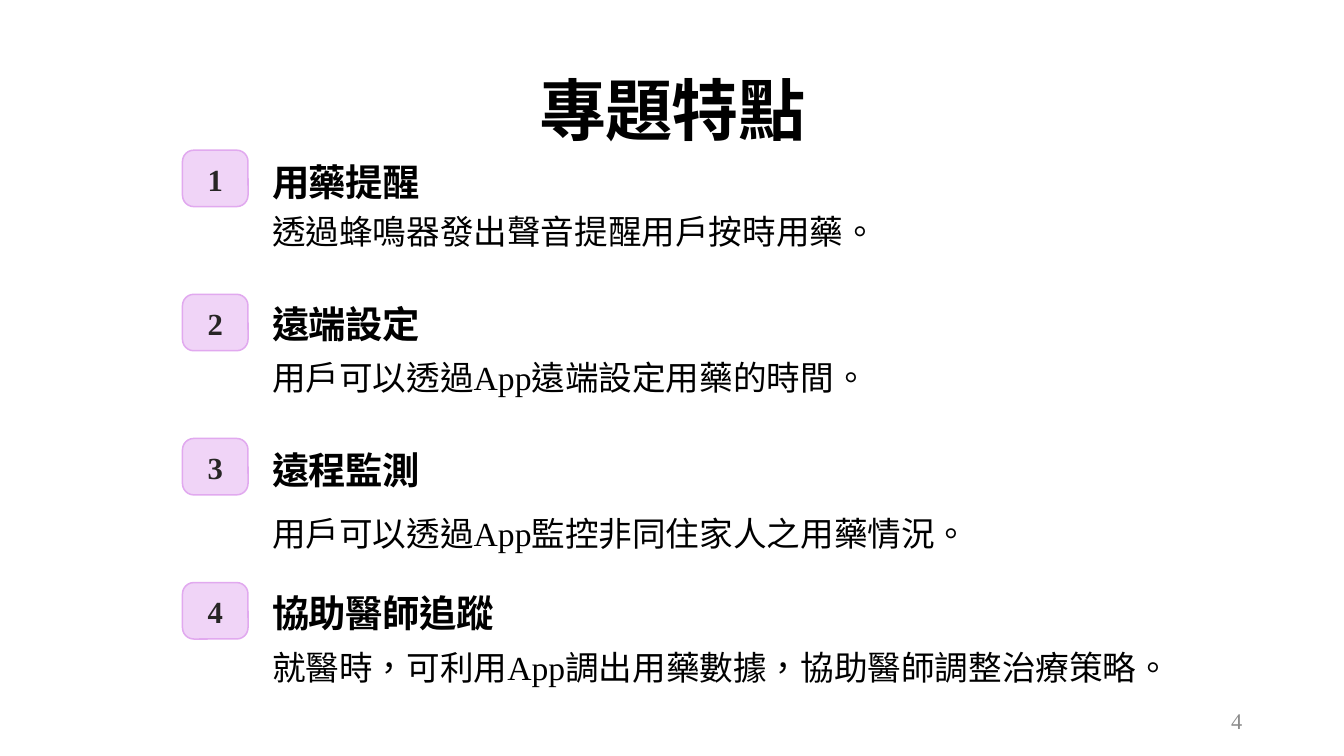
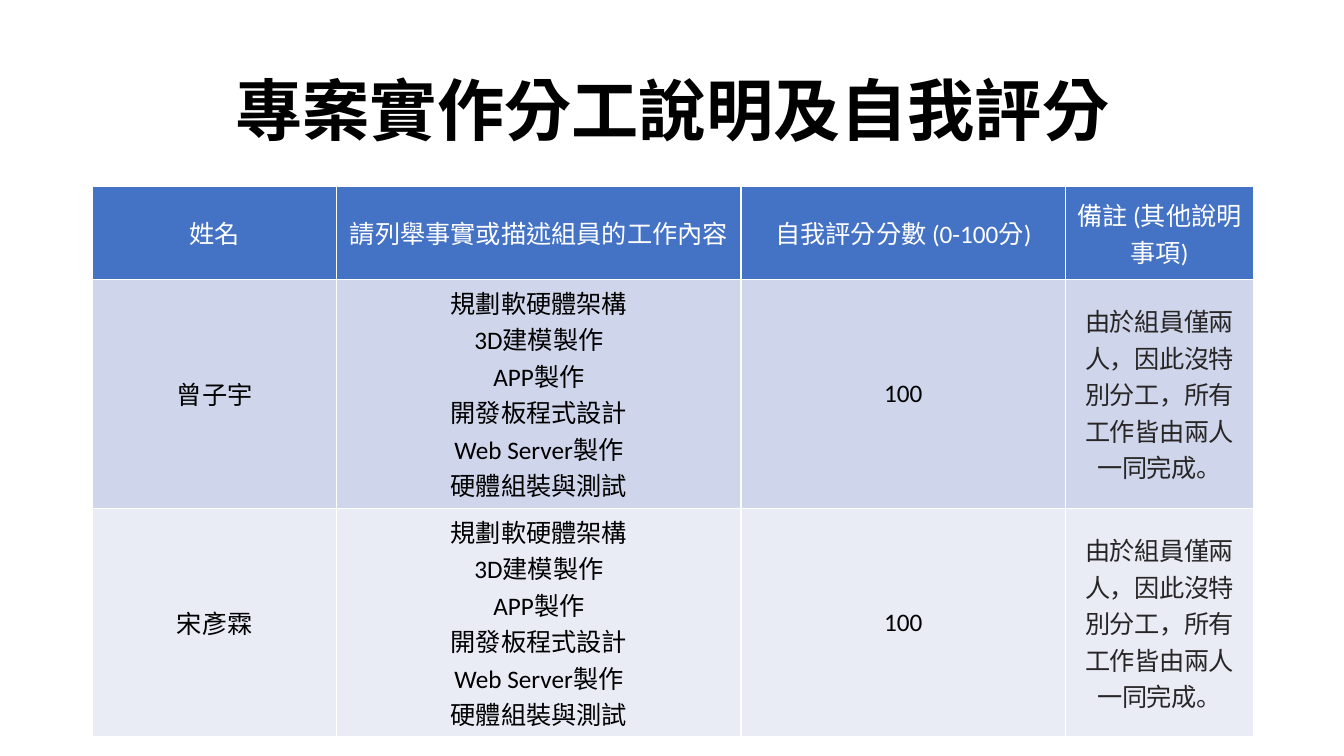
from dataclasses import dataclass

from lxml.etree import SubElement
from pptx import Presentation
from pptx.dml.color import RGBColor
from pptx.enum.shapes import MSO_SHAPE
from pptx.enum.text import MSO_ANCHOR, MSO_AUTO_SIZE, PP_ALIGN
from pptx.oxml.ns import qn
from pptx.slide import Slide
from pptx.table import _Cell
from pptx.text.text import TextFrame
from pptx.util import Inches, Pt

# Shared colours and fonts
BLACK = RGBColor(0x00, 0x00, 0x00)
WHITE = RGBColor(0xFF, 0xFF, 0xFF)
INK = RGBColor(0x27, 0x25, 0x25)
GREY = RGBColor(0x8C, 0x8C, 0x8C)
BADGE_FILL = RGBColor(0xF0, 0xD4, 0xF7)
BADGE_LINE = RGBColor(0xE1, 0xA9, 0xEF)
HEADER_FILL = RGBColor(0x44, 0x72, 0xC4)
BAND_FILLS = (RGBColor(0xCF, 0xD5, 0xEA), RGBColor(0xE9, 0xEB, 0xF5))
SERIF = "Times New Roman"
SANS = "Calibri"
CJK = "Noto Sans CJK SC"


@dataclass(frozen=True)
class TextStyle:
    size: float
    font: str
    color: RGBColor
    bold: bool = False
    align: PP_ALIGN = PP_ALIGN.LEFT
    line: float | None = None  # exact line height in points
    tracking: float = 0
    lang: str = "zh-TW"


@dataclass(frozen=True)
class Feature:
    heading: str
    heading_top: float
    detail: str
    detail_top: float


@dataclass(frozen=True)
class Member:
    name: str
    score: str


CENTER = PP_ALIGN.CENTER
HEADING = TextStyle(26.7, SERIF, BLACK, True, line=27.3, tracking=-0.4)
DETAIL = TextStyle(24, SERIF, BLACK, line=23.3)
BADGE = TextStyle(21.9, SERIF, INK, True, CENTER, 27.3, -0.4)
PAGE_NUMBER = TextStyle(16, SERIF, GREY, align=PP_ALIGN.RIGHT)
TABLE_HEAD = TextStyle(18, SANS, WHITE, align=CENTER)
TABLE_BODY = TextStyle(18, SANS, BLACK, align=CENTER)
TABLE_NOTE = TextStyle(18, CJK, INK, align=CENTER, tracking=-0.3, lang="zh-CN")

FEATURES = (
    Feature("用藥提醒", 1.59, "透過蜂鳴器發出聲音提醒用戶按時用藥。", 2.12),
    Feature("遠端設定", 3, "用戶可以透過App遠端設定用藥的時間。", 3.57),
    Feature("遠程監測", 4.45, "用戶可以透過App監控非同住家人之用藥情況。", 5.12),
    Feature("協助醫師追蹤", 5.87,
            "就醫時，可利用App調出用藥數據，協助醫師調整治療策略。", 6.44),
)
BADGE_TOP, BADGE_STEP = 1.49, 1.43

HEADERS = ("姓名", "請列舉事實或描述組員的工作內容",
           "自我評分分數 (0-100分)", "備註 (其他說明事項)")
MEMBERS = (Member("曾子宇", "100"), Member("宋彥霖", "100"))
TASKS = "規劃軟硬體架構\n3D建模製作\nAPP製作\n開發板程式設計\nWeb Server製作\n硬體組裝與測試"
NOTE = "由於組員僅兩人，因此沒特別分工，所有工作皆由兩人一同完成。"
COLUMN_WIDTHS = (2.42, 4.01, 3.22, 1.86)
ROW_HEIGHTS = (0.92, 2.27, 2.27)


def write(tf: TextFrame, text: str, style: TextStyle) -> None:
    """Fill a text frame and style every paragraph."""
    tf.text = text
    for p in tf.paragraphs:
        p.alignment = style.align
        if style.line:
            p.line_spacing = Pt(style.line)
        p.font.size = Pt(style.size)
        p.font.bold = style.bold
        p.font.color.rgb = style.color
        p.font.name = style.font
        # Language, tracking and East Asian font
        props = p._p.pPr.find(qn("a:defRPr"))
        props.set("lang", style.lang)
        props.set("spc", str(round(style.tracking * 100)))
        SubElement(props, qn("a:ea")).set("typeface", CJK)


def add_text(s: Slide, text: str, style: TextStyle, left: float, top: float,
             width: float, height: float,
             anchor: MSO_ANCHOR = MSO_ANCHOR.TOP) -> None:
    sp = s.shapes.add_textbox(Inches(left), Inches(top), Inches(width), Inches(height))
    tf = sp.text_frame
    tf.word_wrap = True
    tf.vertical_anchor = anchor
    write(tf, text, style)


def add_titled_slide(prs: Presentation, title: str, font: str,
                     tracking: float = 0) -> Slide:
    s = prs.slides.add_slide(prs.slide_layouts[5])
    sp = s.shapes.title
    sp.left, sp.top = Inches(0.92), Inches(0.4)
    sp.width, sp.height = Inches(11.5), Inches(1.45)
    tf = sp.text_frame
    tf.auto_size = MSO_AUTO_SIZE.NONE
    tf.vertical_anchor = MSO_ANCHOR.MIDDLE
    write(tf, title, TextStyle(48, font, BLACK, True, CENTER, tracking=tracking))
    tf.paragraphs[0].line_spacing = 0.9
    return s


def add_badge(s: Slide, number: int, top: float) -> None:
    sp = s.shapes.add_shape(MSO_SHAPE.ROUNDED_RECTANGLE, Inches(1.81), Inches(top),
                            Inches(0.65), Inches(0.56))
    sp.adjustments[0] = 0.2
    sp.shadow.inherit = False
    sp.fill.solid()
    sp.fill.fore_color.rgb = BADGE_FILL
    sp.line.color.rgb = BADGE_LINE
    sp.line.width = Pt(1.09)
    sp.text_frame.vertical_anchor = MSO_ANCHOR.MIDDLE
    write(sp.text_frame, str(number), BADGE)


def fill_cell(cell: _Cell, text: str, style: TextStyle, fill: RGBColor) -> None:
    cell.vertical_anchor = MSO_ANCHOR.MIDDLE
    # White rules on all four sides
    props = cell._tc.get_or_add_tcPr()
    for side in ("lnL", "lnR", "lnT", "lnB"):
        ln = SubElement(props, qn(f"a:{side}"), w=str(Pt(1)))
        color = SubElement(SubElement(ln, qn("a:solidFill")), qn("a:srgbClr"))
        color.set("val", str(WHITE))
    cell.fill.solid()
    cell.fill.fore_color.rgb = fill
    write(cell.text_frame, text, style)


def build_features(prs: Presentation) -> None:
    s = add_titled_slide(prs, "專題特點", CJK, -0.7)
    for i, feature in enumerate(FEATURES):
        add_badge(s, i + 1, BADGE_TOP + i * BADGE_STEP)
        add_text(s, feature.heading, HEADING, 2.6, feature.heading_top, 4, 0.38)
        add_text(s, feature.detail, DETAIL, 2.6, feature.detail_top, 9.5, 0.55)
    add_text(s, "4", PAGE_NUMBER, 9.42, 6.95, 3, 0.4, MSO_ANCHOR.MIDDLE)


def build_work_table(prs: Presentation) -> None:
    s = add_titled_slide(prs, "專案實作分工說明及自我評分", SERIF)
    table = s.shapes.add_table(
        len(ROW_HEIGHTS), len(COLUMN_WIDTHS), Inches(0.92), Inches(1.85),
        Inches(sum(COLUMN_WIDTHS)), Inches(sum(ROW_HEIGHTS))).table
    table.horz_banding = False
    for column, width in zip(table.columns, COLUMN_WIDTHS):
        column.width = Inches(width)
    for row, height in zip(table.rows, ROW_HEIGHTS):
        row.height = Inches(height)

    # Header row, then one row per member
    for c, header in enumerate(HEADERS):
        fill_cell(table.cell(0, c), header, TABLE_HEAD, HEADER_FILL)
    for r, (member, fill) in enumerate(zip(MEMBERS, BAND_FILLS), start=1):
        for c, text in enumerate((member.name, TASKS, member.score, NOTE)):
            style = TABLE_NOTE if text == NOTE else TABLE_BODY
            fill_cell(table.cell(r, c), text, style, fill)


def main() -> None:
    prs = Presentation()
    prs.slide_width, prs.slide_height = Inches(13.33), Inches(7.5)
    build_features(prs)
    build_work_table(prs)
    prs.save("out.pptx")


if __name__ == "__main__":
    main()
